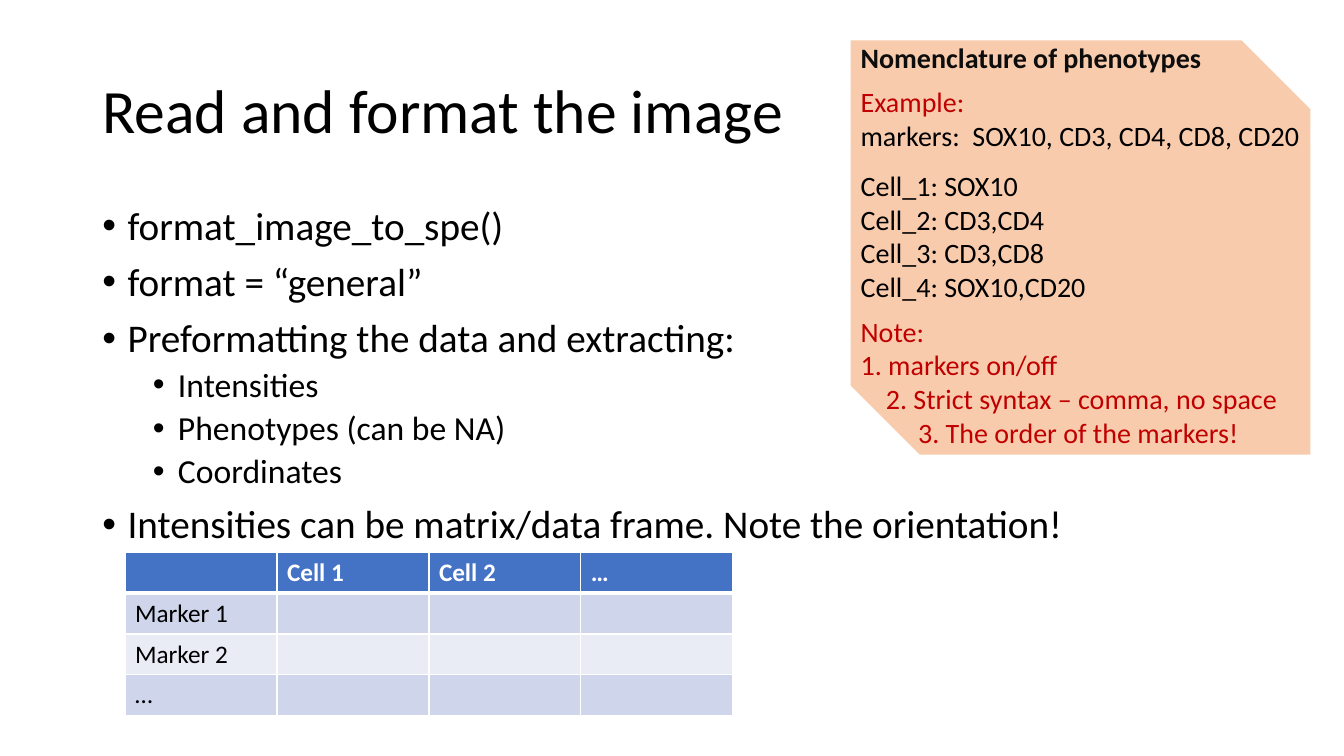
from dataclasses import dataclass

from lxml.etree import SubElement
from pptx import Presentation
from pptx.dml.color import RGBColor
from pptx.enum.shapes import MSO_SHAPE as Preset
from pptx.enum.text import MSO_ANCHOR as Anchor
from pptx.oxml.ns import qn
from pptx.util import Inches, Length, Pt


@dataclass(frozen=True)
class Theme:
    font: str = "Calibri"
    black: str = "000000"
    heading: str = "0D0D0D"
    red: str = "C00000"
    white: str = "FFFFFF"
    panel: str = "F8CBAD"
    header: str = "4472C4"
    bands: tuple[str, str] = ("CFD5EA", "E9EBF5")
    title_size: int = 44
    body_size: int = 28
    sub_size: int = 24
    note_size: int = 20
    table_size: int = 18


@dataclass(frozen=True)
class Area:
    """Shares of the slide's width and height, in percent."""

    left: float
    top: float
    width: float
    height: float

    def lengths(self) -> tuple[Length, ...]:
        return (across(self.left), down(self.top), across(self.width), down(self.height))


@dataclass(frozen=True)
class Line:
    text: str
    size: int
    color: str = "000000"
    bold: bool = False
    bullet: bool = False
    indent: float = 0
    before: float = 0
    spacing: float = 1.0


theme = Theme()
deck = Presentation()
deck.slide_width, deck.slide_height = Inches(13.333), Inches(7.5)
page = deck.slides.add_slide(deck.slide_layouts[6])


def across(share: float) -> Length:
    return Length(round(deck.slide_width * share / 100))


def down(share: float) -> Length:
    return Length(round(deck.slide_height * share / 100))


def style(para, line: Line) -> None:
    para.text = line.text
    properties = para._p.get_or_add_pPr()
    properties.set("marL", str(Inches(line.indent)))
    if line.bullet:
        properties.set("indent", str(-Inches(0.25)))
        SubElement(properties, qn("a:buFont"), typeface="Arial")
        SubElement(properties, qn("a:buChar"), char="•")
    para.line_spacing = line.spacing
    para.space_before = Pt(line.before)
    para.font.name = theme.font
    para.font.size = Pt(line.size)
    para.font.bold = line.bold
    para.font.color.rgb = RGBColor.from_string(line.color)


def add_text(area: Area, lines: list[Line], wrap: bool = True, anchor: Anchor = Anchor.TOP) -> None:
    frame = page.shapes.add_textbox(*area.lengths()).text_frame
    frame.word_wrap = wrap
    frame.vertical_anchor = anchor
    for index, line in enumerate(lines):
        style(frame.paragraphs[0] if index == 0 else frame.add_paragraph(), line)


def add_borders(cell, widths: dict[str, int]) -> None:
    properties = cell._tc.get_or_add_tcPr()
    for side, width in widths.items():
        border = SubElement(properties, qn(f"a:ln{side}"), w=str(Pt(width)))
        SubElement(SubElement(border, qn("a:solidFill")), qn("a:srgbClr"), val=theme.white)


def add_grid(area: Area, rows: list[list[str]]) -> None:
    columns = len(rows[0])
    table = page.shapes.add_table(len(rows), columns, *area.lengths()).table
    table.horz_banding = False
    for column in table.columns:
        column.width = across(area.width / columns)
    for r, texts in enumerate(rows):
        table.rows[r].height = down(area.height / len(rows))
        is_header = r == 0
        fill = theme.header if is_header else theme.bands[(r - 1) % 2]
        color = theme.white if is_header else theme.black
        for c, text in enumerate(texts):
            cell = table.cell(r, c)
            add_borders(cell, {"L": 1, "R": 1, "T": 3 if r == 1 else 1, "B": 3 if is_header else 1})
            cell.fill.solid()
            cell.fill.fore_color.rgb = RGBColor.from_string(fill)
            style(cell.text_frame.paragraphs[0], Line(text, theme.table_size, color, is_header))


def add_panel(area: Area) -> None:
    panel = page.shapes.add_shape(Preset.SNIP_2_DIAG_RECTANGLE, *area.lengths())
    panel.shadow.inherit = False
    panel.fill.solid()
    panel.fill.fore_color.rgb = RGBColor.from_string(theme.panel)
    panel.line.fill.background()


def item(text: str, first: bool = False) -> Line:
    return Line(text, theme.body_size, bullet=True, indent=0.25, before=0 if first else 10, spacing=0.9)


def sub_item(text: str) -> Line:
    return Line(text, theme.sub_size, bullet=True, indent=0.75, before=5, spacing=0.9)


def note(text: str, color: str = theme.black, indent: float = 0, before: float = 0) -> Line:
    return Line(text, theme.note_size, color, indent=indent, before=before)


def main() -> None:
    add_text(
        Area(6.88, 5.33, 86.25, 19.33),
        [Line("Read and format the image", theme.title_size, spacing=0.9)],
        anchor=Anchor.MIDDLE,
    )
    add_text(Area(6.88, 26.62, 86.25, 63.47), [
        item("format_image_to_spe()", first=True),
        item("format = “general”"),
        item("Preformatting the data and extracting:"),
        *map(sub_item, ("Intensities", "Phenotypes (can be NA)", "Coordinates")),
        item("Intensities can be matrix/data frame. Note the orientation!"),
    ])
    add_grid(Area(9.3, 73.07, 45.23, 21.6), [
        ["", "Cell 1", "Cell 2", "…"],
        *([label, "", "", ""] for label in ("Marker 1", "Marker 2", "…")),
    ])
    add_panel(Area(63.3, 5.33, 34.2, 54.8))
    add_text(
        Area(63.3, 4.67, 27.08, 5.87),
        [Line("Nomenclature of phenotypes", theme.note_size, theme.heading, bold=True)],
        wrap=False,
    )
    add_text(Area(63.3, 10.53, 34.88, 30.53), [
        note("Example:", theme.red),
        note("markers:  SOX10, CD3, CD4, CD8, CD20"),
        note("Cell_1: SOX10", before=12),
        *map(note, ("Cell_2: CD3,CD4", "Cell_3: CD3,CD8", "Cell_4: SOX10,CD20")),
    ], wrap=False)
    add_text(Area(63.3, 40.93, 33.3, 19.33), [
        note("Note:", theme.red),
        note("1. markers on/off", theme.red),
        note("2. Strict syntax – comma, no space", theme.red, indent=0.25),
        note("3. The order of the markers!", theme.red, indent=0.57),
    ], wrap=False)
    deck.save("out.pptx")


if __name__ == "__main__":
    main()
